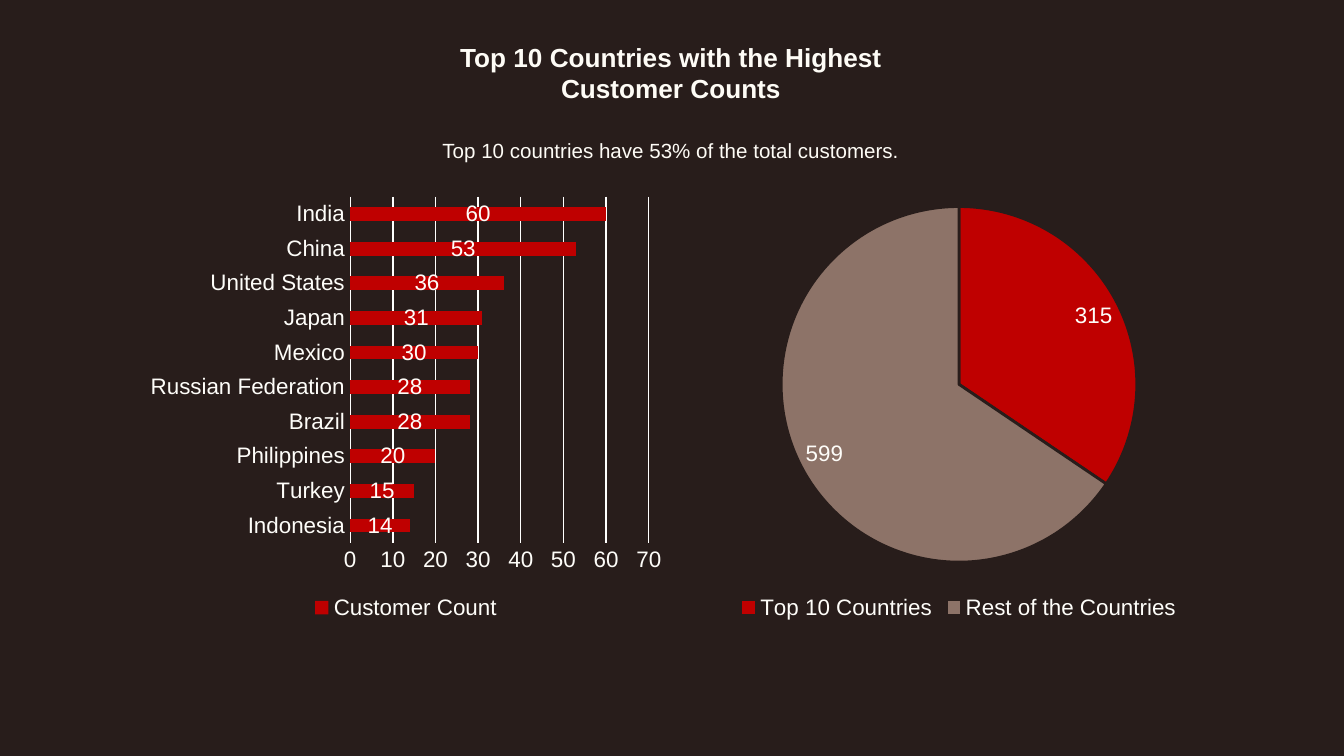
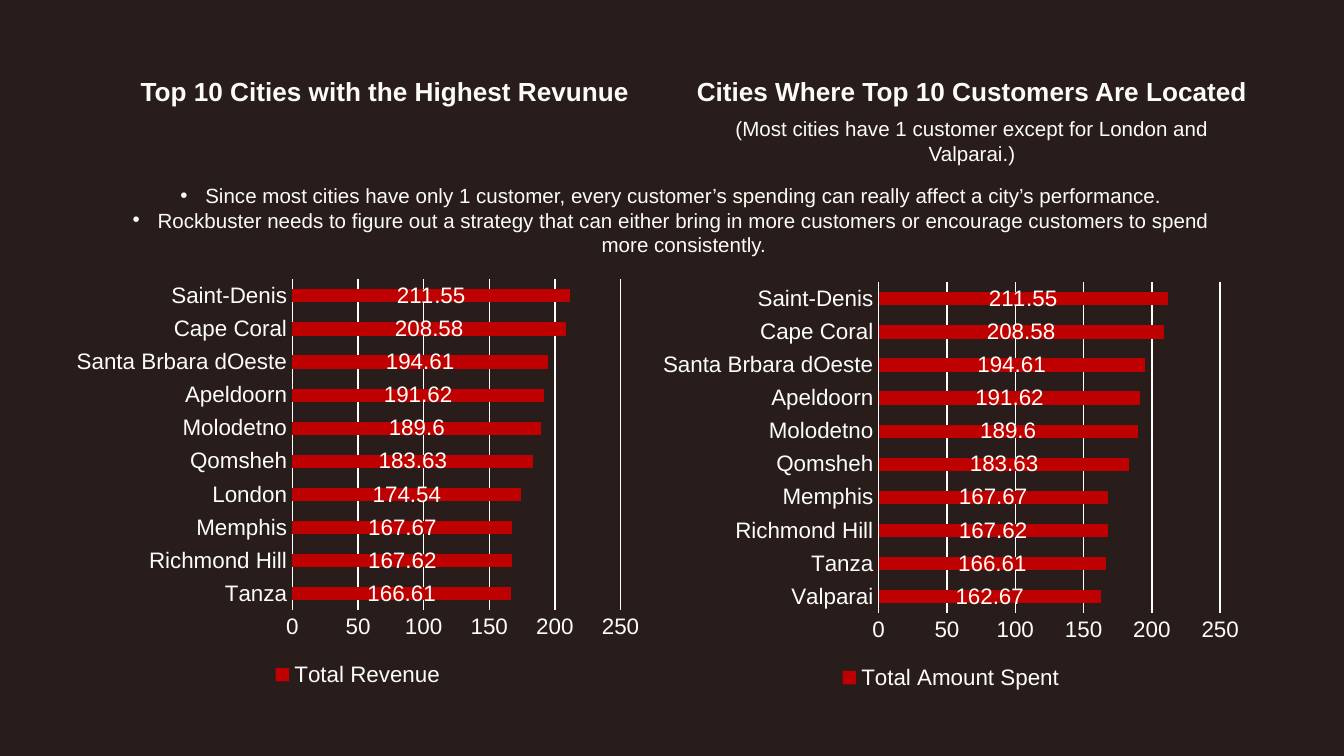
from lxml.etree import SubElement
from pptx import Presentation
from pptx.chart.data import CategoryChartData
from pptx.dml.color import RGBColor
from pptx.enum.chart import XL_CHART_TYPE as ChartType
from pptx.enum.chart import XL_LABEL_POSITION as LabelPosition
from pptx.enum.chart import XL_LEGEND_POSITION as LegendPosition
from pptx.enum.chart import XL_TICK_MARK as TickMark
from pptx.enum.text import MSO_ANCHOR as Anchor
from pptx.enum.text import MSO_AUTO_SIZE as AutoSize
from pptx.enum.text import PP_ALIGN as Align
from pptx.oxml.ns import qn
from pptx.util import Emu, Pt

DARK = RGBColor(0x28, 0x1D, 0x1B)
CREAM = RGBColor(0xFE, 0xFC, 0xF6)
CHART_TEXT = RGBColor(0xFE, 0xFD, 0xF9)
GRID = RGBColor(0xFF, 0xFF, 0xFE)
RED = RGBColor(0xBF, 0x00, 0x00)
TAUPE = RGBColor(0x8D, 0x73, 0x68)
FONT = "Arial"
EMU_PER_PX = 914400 / 134.4
HEADING, BODY, LABEL = 14, 11, 12
INSET, BULLET_INSET = (13, 13), (13, 7)

COUNTRIES = [
    ("India", 60), ("China", 53), ("United States", 36), ("Japan", 31),
    ("Mexico", 30), ("Russian Federation", 28), ("Brazil", 28),
    ("Philippines", 20), ("Turkey", 15), ("Indonesia", 14),
]
CUSTOMER_SHARE = [("Top 10 Countries", 315), ("Rest of the Countries", 599)]
SHARED_TOP = [
    ("Saint-Denis", 211.55), ("Cape Coral", 208.58),
    ("Santa Brbara dOeste", 194.61), ("Apeldoorn", 191.62),
    ("Molodetno", 189.6), ("Qomsheh", 183.63),
]
SHARED_END = [("Memphis", 167.67), ("Richmond Hill", 167.62), ("Tanza", 166.61)]
REVENUE = SHARED_TOP + [("London", 174.54)] + SHARED_END
SPENDING = SHARED_TOP + SHARED_END + [("Valparai", 162.67)]

SLIDES = [
    {
        "title": ("Top 10 Countries with the Highest Customer Counts",
                  (384, 28, 574, 85)),
        "texts": [
            (["Top 10 countries have 53% of the total customers."],
             (384, 125, 574, 51), BODY, False),
        ],
        "bars": [("Customer Count", COUNTRIES, (140, 188, 532, 437))],
        "pies": [("Series 1", CUSTOMER_SHARE, (672, 188, 574, 437))],
    },
    {
        "title": ("Top 10 Cities with the Highest Revunue", (98, 62, 574, 85)),
        "texts": [
            (["Cities Where Top 10 Customers Are Located"],
             (672, 62, 600, 85), HEADING, False),
            (["(Most cities have 1 customer except for London and Valparai.)"],
             (685, 103, 574, 62), BODY, False),
            (["Since most cities have only 1 customer, every customer’s spending "
              "can really affect a city’s performance.",
              "Rockbuster needs to figure out a strategy that can either bring in "
              "more customers or encourage customers to spend more consistently."],
             (95, 176, 1153, 89), BODY, True),
        ],
        "bars": [
            ("Total Revenue", REVENUE, (65, 271, 586, 421)),
            ("Total Amount Spent", SPENDING, (651, 274, 600, 421)),
        ],
        "pies": [],
    },
]


def px(value):
    return Emu(round(value * EMU_PER_PX))


def place(box):
    return [px(value) for value in box]


def style_font(font, size, color=CHART_TEXT, bold=False):
    font.name, font.size, font.bold = FONT, Pt(size), bold
    font.color.rgb = color


def add_bullet(para):
    properties = para._p.get_or_add_pPr()
    properties.set("marL", str(px(25)))
    properties.set("indent", str(px(-25)))
    color = SubElement(properties, qn("a:buClr"))
    SubElement(color, qn("a:srgbClr"), val=str(CREAM))
    SubElement(properties, qn("a:buFont"), typeface=FONT)
    SubElement(properties, qn("a:buChar"), char="•")


def write(shape, lines, size, bullets=False):
    frame = shape.text_frame
    frame.word_wrap = True
    frame.auto_size = AutoSize.NONE
    frame.vertical_anchor = Anchor.TOP
    side, top = BULLET_INSET if bullets else INSET
    frame.margin_left = frame.margin_right = px(side)
    frame.margin_top = frame.margin_bottom = px(top)
    frame.text = "\n".join(lines)
    for para in frame.paragraphs:
        para.alignment = Align.CENTER
        style_font(para.font, size, CREAM, size == HEADING)
        if bullets:
            add_bullet(para)


def add_chart(page, kind, name, rows, box, label_position):
    data = CategoryChartData()
    data.categories = [category for category, value in rows]
    data.add_series(name, [value for category, value in rows])
    chart = page.shapes.add_chart(kind, *place(box), data).chart
    style_font(chart.font, 10, CREAM)
    chart.has_title = False
    chart.has_legend = True
    chart.legend.position = LegendPosition.BOTTOM
    chart.legend.include_in_layout = False
    style_font(chart.legend.font, LABEL)
    series = chart.plots[0].series[0]
    labels = series.data_labels
    labels.show_value = True
    labels.position = label_position
    style_font(labels.font, LABEL)
    return chart, series


def add_bars(page, name, rows, box):
    chart, series = add_chart(page, ChartType.BAR_STACKED, name, rows[::-1],
                              box, LabelPosition.CENTER)
    plot = chart.plots[0]
    plot.vary_by_categories = False
    plot.gap_width, plot.overlap = 150, 100
    series.format.fill.solid()
    series.format.fill.fore_color.rgb = RED
    for axis in (chart.category_axis, chart.value_axis):
        axis.major_tick_mark = axis.minor_tick_mark = TickMark.NONE
        style_font(axis.tick_labels.font, LABEL)
    chart.value_axis.has_major_gridlines = True
    chart.value_axis.format.line.fill.background()
    for lined in (chart.category_axis, chart.value_axis.major_gridlines):
        lined.format.line.color.rgb = GRID
        lined.format.line.width = Pt(0.75)


def add_pie(page, name, rows, box):
    chart, series = add_chart(page, ChartType.PIE, name, rows, box,
                              LabelPosition.BEST_FIT)
    chart.plots[0].vary_by_categories = True
    for index, color in enumerate((RED, TAUPE)):
        wedge = series.points[index].format
        wedge.fill.solid()
        wedge.fill.fore_color.rgb = color
        wedge.line.color.rgb = DARK
        wedge.line.width = Pt(1.5)


def build_page(deck, content):
    page = deck.slides.add_slide(deck.slide_layouts[5])
    heading, box = content["title"]
    title = page.shapes.title
    title.left, title.top, title.width, title.height = place(box)
    write(title, [heading], HEADING)
    for bars in content["bars"]:
        add_bars(page, *bars)
    for pie in content["pies"]:
        add_pie(page, *pie)
    for lines, box, size, bullets in content["texts"]:
        write(page.shapes.add_textbox(*place(box)), lines, size, bullets)


def main():
    deck = Presentation()
    deck.slide_width, deck.slide_height = px(1344), px(756)
    background = deck.slide_master.background.fill
    background.solid()
    background.fore_color.rgb = DARK
    for content in SLIDES:
        build_page(deck, content)
    deck.save("out.pptx")


if __name__ == "__main__":
    main()
